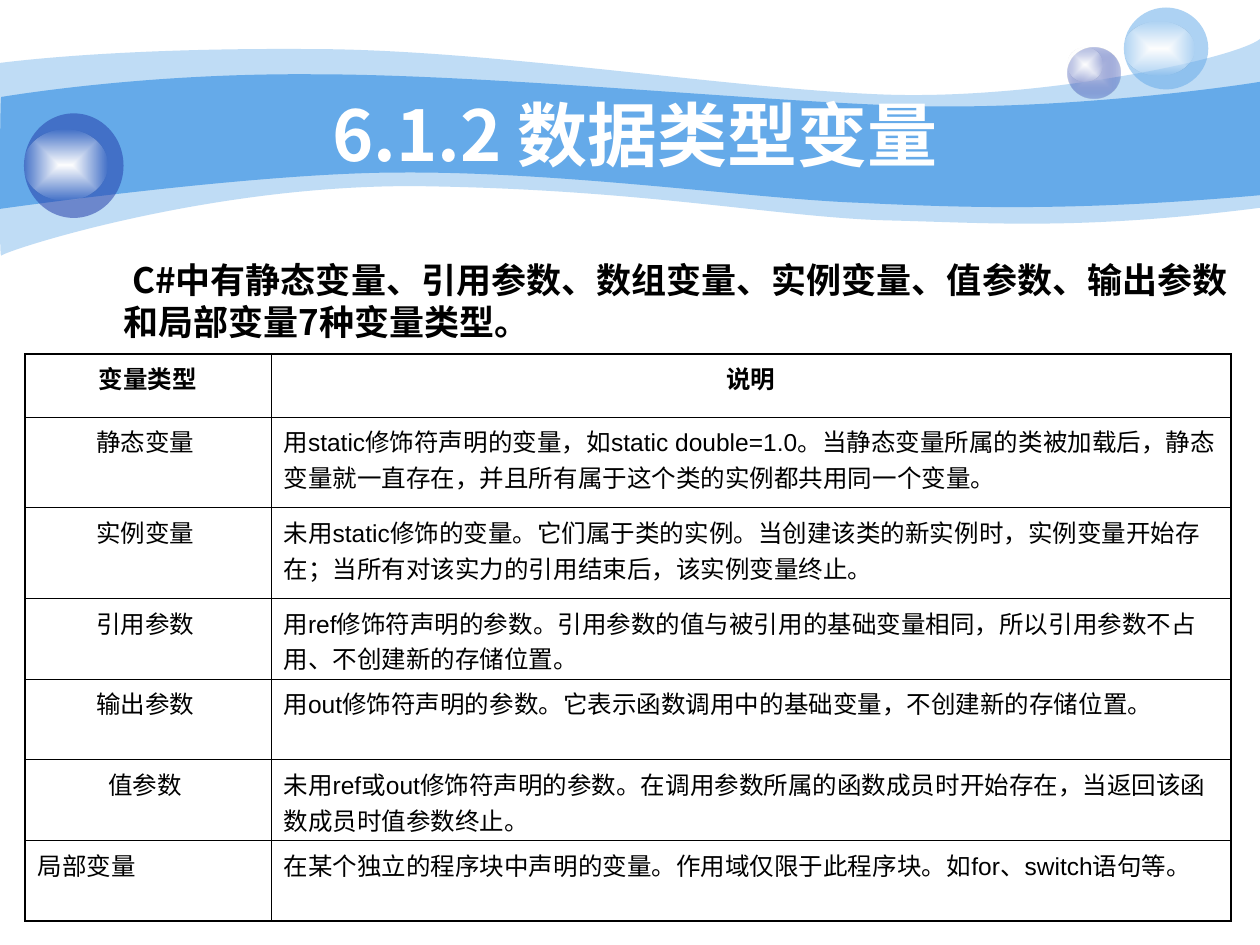
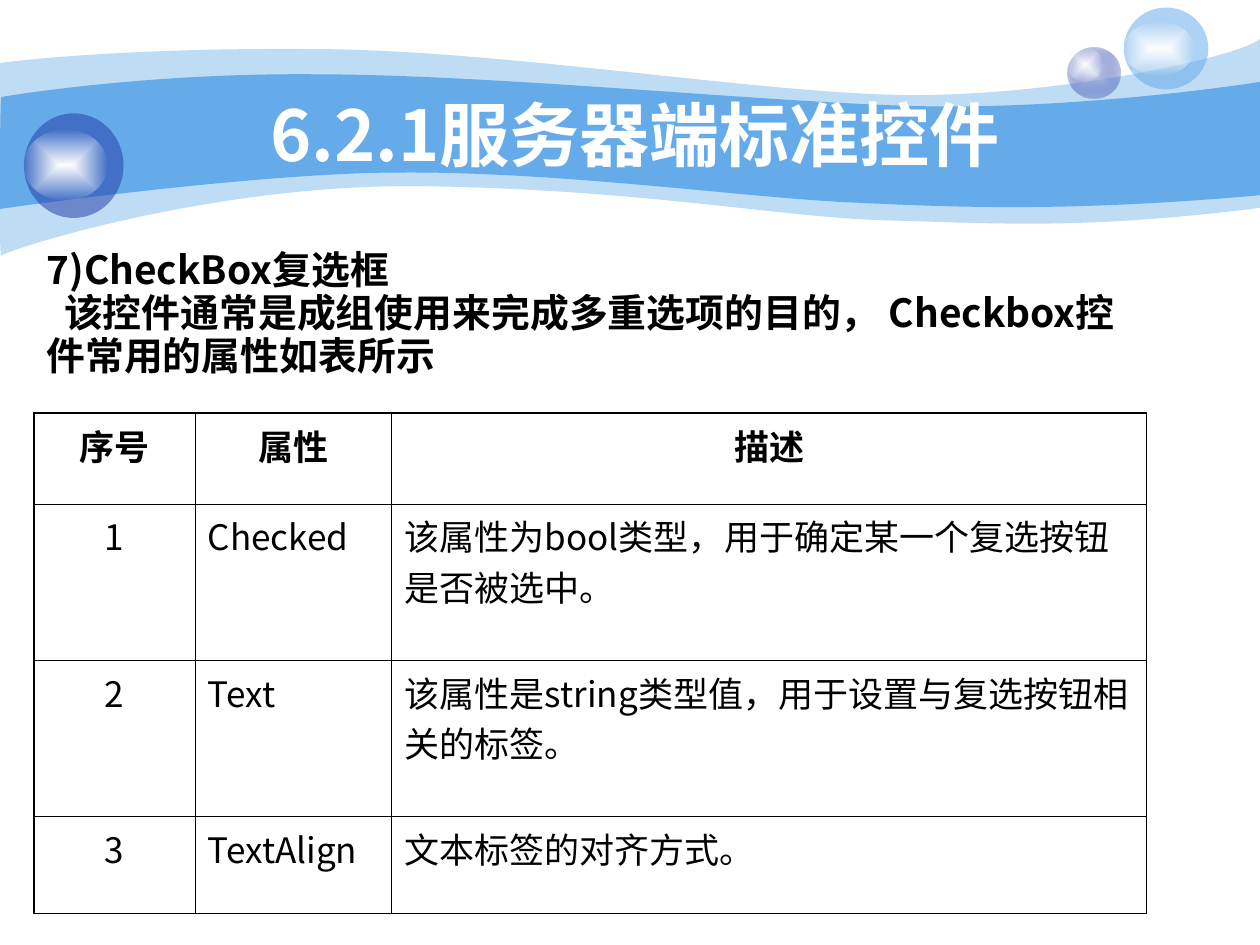
from pptx import Presentation
from pptx.dml.color import RGBColor
from pptx.enum.shapes import MSO_SHAPE
from pptx.enum.text import MSO_ANCHOR, PP_ALIGN
from pptx.oxml import parse_xml
from pptx.oxml.ns import nsdecls, qn
from pptx.oxml.xmlchemy import OxmlElement
from pptx.util import Inches, Pt

SKY = RGBColor(0x65, 0xAA, 0xE9)
NAVY = RGBColor(0x23, 0x3D, 0xA9)
LAVENDER = RGBColor(0xC6, 0xCC, 0xE8)
WHITE = RGBColor(0xFF, 0xFF, 0xFF)
NEAR_WHITE = RGBColor(0xFE, 0xFE, 0xFE)
BLACK = RGBColor(0x00, 0x00, 0x00)

CJK_FONT = "Noto Sans CJK SC"
LATIN_FONT = "Arial"
OUTER_LINE, INNER_LINE = 1.08, 0.45

TITLE_BOX = (1, 0.75, 8.08, 0.62)
TITLE_FONT = {"size": Pt(40), "bold": True, "name": CJK_FONT}

PALE_TOP = [
    (0, 0.5), (0.24, 0.47), (1.07, 0.38), (2.47, 0.39), (3.86, 0.39),
    (5.75, 0.7), (6.99, 0.75), (8.22, 0.8), (9.8, 0.47), (10, 0.31),
]
PALE_BOTTOM = [
    (10, 1.65), (8.58, 1.83), (7.87, 1.77), (7.05, 1.75), (6.22, 1.73),
    (5.15, 1.51), (3.43, 1.48), (1.72, 1.44), (0.04, 1.99), (0.01, 2.03),
    (-0.01, 2.08), (0, 0.75), (0, 0.5),
]
DEEP_TOP = [
    (0.01, 0.77), (0.02, 0.77), (1.1, 0.58), (2.48, 0.59), (3.86, 0.59),
    (5.95, 0.8), (7.18, 0.84), (8.41, 0.88), (9.76, 0.69), (10, 0.65),
]
DEEP_BOTTOM = [
    (10, 1.55), (8.53, 1.68), (7.65, 1.65), (6.82, 1.61), (5.99, 1.58),
    (4.47, 1.36), (3.17, 1.37), (2.03, 1.37), (-0.02, 1.66), (-0.01, 1.66),
    (0, 1.66), (0, 0.77), (0.01, 0.77),
]


def color_xml(color, alpha):
    return f'<a:srgbClr val="{color}"><a:alpha val="{alpha * 1000}"/></a:srgbClr>'


def solid_xml(color, alpha=100):
    return f'<a:solidFill {nsdecls("a")}>{color_xml(color, alpha)}</a:solidFill>'


def glow_xml(center, edge, edge_alpha):
    return (
        f'<a:gradFill {nsdecls("a")}><a:gsLst>'
        f'<a:gs pos="0">{color_xml(center, 100)}</a:gs>'
        f'<a:gs pos="100000">{color_xml(edge, edge_alpha)}</a:gs></a:gsLst>'
        '<a:path path="rect"><a:fillToRect l="50000" t="50000" r="50000" b="50000"/></a:path>'
        "</a:gradFill>"
    )


HIGHLIGHT = glow_xml(WHITE, NEAR_WHITE, 0)
BUBBLES = [
    ((8.47, 0.38, 0.42, 0.4), glow_xml(LAVENDER, NAVY, 31), (0, 0, 0.28, 0.27)),
    ((8.92, 0.06, 0.67, 0.65), solid_xml(SKY, 53), (0, 0.11, 0.56, 0.43)),
    ((0.19, 0.9, 0.79, 0.83), solid_xml(NAVY, 53), (0, 0.13, 0.66, 0.56)),
]


def paint(shape, fill_xml):
    shape.shadow.inherit = False
    shape.line.fill.background()
    shape.fill.background()
    properties = shape._element.spPr
    properties.replace(properties.find(qn("a:noFill")), parse_xml(fill_xml))


def bend(segments):
    for first in range(0, len(segments), 3):
        curve = OxmlElement("a:cubicBezTo")
        segments[first].addprevious(curve)
        for segment in segments[first:first + 3]:
            curve.append(segment[0])
            segment.getparent().remove(segment)


def add_wave(slide, top_edge, bottom_edge, fill_xml):
    points = [(Inches(x), Inches(y)) for x, y in top_edge + bottom_edge]
    builder = slide.shapes.build_freeform(*points[0])
    builder.add_line_segments(points[1:], close=True)
    wave = builder.convert_to_shape()
    segments = list(wave._element.iter(qn("a:lnTo")))
    corner = len(top_edge) - 1
    bend(segments[:corner])
    bend(segments[corner + 1:])
    paint(wave, fill_xml)


def add_bubble(slide, box, fill_xml, shine):
    left, top, width, height = box
    shine_left, shine_top, shine_width, shine_height = shine
    shine_box = (left + shine_left, top + shine_top, shine_width, shine_height)
    group = slide.shapes.add_group_shape()
    for oval_box, oval_fill in ((box, fill_xml), (shine_box, HIGHLIGHT)):
        oval = group.shapes.add_shape(MSO_SHAPE.OVAL, *map(Inches, oval_box))
        paint(oval, oval_fill)


def write(paragraph, text, color, alignment, font_format):
    paragraph.alignment = alignment
    run = paragraph.add_run()
    run.text = text
    run.font.color.rgb = color
    for attribute, value in font_format.items():
        setattr(run.font, attribute, value)
    east_asian = OxmlElement("a:ea")
    east_asian.set("typeface", CJK_FONT)
    run.font._element.append(east_asian)


def add_text_box(slide, box):
    frame = slide.shapes.add_textbox(*map(Inches, box)).text_frame
    frame.word_wrap = True
    return frame


def add_header(slide, title):
    add_wave(slide, PALE_TOP, PALE_BOTTOM, solid_xml(SKY, 41))
    add_wave(slide, DEEP_TOP, DEEP_BOTTOM, solid_xml(SKY))
    for bubble in BUBBLES:
        add_bubble(slide, *bubble)
    frame = add_text_box(slide, TITLE_BOX)
    frame.vertical_anchor = MSO_ANCHOR.MIDDLE
    write(frame.paragraphs[0], title, WHITE, PP_ALIGN.CENTER, TITLE_FONT)


def add_body(slide, box, lines, size, line_spacing, space_before=0):
    frame = add_text_box(slide, box)
    for index, (text, margin, indent) in enumerate(lines):
        paragraph = frame.add_paragraph() if index else frame.paragraphs[0]
        paragraph.line_spacing = line_spacing
        paragraph.space_before = Pt(space_before if index else 0)
        properties = paragraph._p.get_or_add_pPr()
        properties.set("marL", str(Inches(margin)))
        properties.set("indent", str(Inches(indent)))
        font_format = {"size": Pt(size), "bold": True, "name": CJK_FONT}
        write(paragraph, text, BLACK, PP_ALIGN.LEFT, font_format)


def set_borders(cell, widths):
    properties = cell._tc.get_or_add_tcPr()
    for position, (side, width) in enumerate(widths.items()):
        line = parse_xml(
            f'<a:{side} {nsdecls("a")} w="{Pt(width)}">{solid_xml(BLACK)}</a:{side}>'
        )
        properties.insert(position, line)


def add_grid(slide, left, top, column_widths, row_heights, rows, size, font, left_cells=()):
    box = (left, top, sum(column_widths), sum(row_heights))
    frame = slide.shapes.add_table(len(rows), len(column_widths), *map(Inches, box))
    table = frame.table
    table.first_row = table.horz_banding = False
    for column, width in zip(table.columns, column_widths):
        column.width = Inches(width)
    last_row, last_column = len(rows) - 1, len(column_widths) - 1
    for row_index, texts in enumerate(rows):
        table.rows[row_index].height = Inches(row_heights[row_index])
        for column_index, text in enumerate(texts):
            cell = table.cell(row_index, column_index)
            cell.fill.background()
            edges = {
                "lnL": column_index == 0,
                "lnR": column_index == last_column,
                "lnT": row_index == 0,
                "lnB": row_index == last_row,
            }
            set_borders(cell, {
                side: OUTER_LINE if outer else INNER_LINE for side, outer in edges.items()
            })
            centered = row_index == 0 or column_index == 0
            if (row_index, column_index) in left_cells:
                centered = False
            alignment = PP_ALIGN.CENTER if centered else PP_ALIGN.LEFT
            font_format = {"size": Pt(size), "bold": row_index == 0, "name": font}
            write(cell.text_frame.paragraphs[0], text, BLACK, alignment, font_format)


def add_variable_slide(slide):
    add_header(slide, "6.1.2 数据类型变量")
    sentence = (
        "C#中有静态变量、引用参数、数组变量、实例变量、值参数、输出参数"
        "和局部变量7种变量类型。"
    )
    add_body(slide, (0.5, 2, 9.5, 0.81), [(sentence, 0.38, 0.07)], 20, 1.0)
    rows = [
        ("变量类型", "说明"),
        ("静态变量 ", "用static修饰符声明的变量，如static double=1.0。当静态变量所属的类被加载后，"
                  "静态变量就一直存在，并且所有属于这个类的实例都共用同一个变量。"),
        ("实例变量 ", "未用static修饰的变量。它们属于类的实例。当创建该类的新实例时，"
                  "实例变量开始存在；当所有对该实力的引用结束后，该实例变量终止。"),
        ("引用参数 ", "用ref修饰符声明的参数。引用参数的值与被引用的基础变量相同，"
                  "所以引用参数不占用、不创建新的存储位置。"),
        ("输出参数 ", "用out修饰符声明的参数。它表示函数调用中的基础变量，不创建新的存储位置。"),
        ("值参数 ", "未用ref或out修饰符声明的参数。在调用参数所属的函数成员时开始存在，"
                 "当返回该函数成员时值参数终止。"),
        ("局部变量", "在某个独立的程序块中声明的变量。作用域仅限于此程序块。如for、switch语句等。"),
    ]
    heights = [0.5] + [0.72] * 2 + [0.64] * 4
    add_grid(slide, 0.2, 2.81, [1.95, 7.62], heights, rows, 14, LATIN_FONT, {(6, 0)})


def add_checkbox_slide(slide):
    add_header(slide, "6.2.1服务器端标准控件")
    lines = [
        ("7)CheckBox复选框", 0, 0),
        ("该控件通常是成组使用来完成多重选项的目的， Checkbox控", 0, 0.14),
        ("件常用的属性如表所示", 0, 0),
    ]
    add_body(slide, (0.27, 2, 9.45, 1.2), lines, 22.2, 0.7, 6)
    rows = [
        ("序号", "属性", "描述"),
        ("1", "Checked", "该属性为bool类型，用于确定某一个复选按钮是否被选中。"),
        ("2", "Text", "该属性是string类型值，用于设置与复选按钮相关的标签。"),
        ("3", "TextAlign", "文本标签的对齐方式。"),
    ]
    heights = [0.72, 1.24, 1.24, 0.77]
    add_grid(slide, 0.27, 3.28, [1.28, 1.56, 5.99], heights, rows, 20, CJK_FONT)


def main():
    presentation = Presentation()
    presentation.slide_width = Inches(10)
    presentation.slide_height = Inches(7.5)
    for add_content in (add_variable_slide, add_checkbox_slide):
        add_content(presentation.slides.add_slide(presentation.slide_layouts[6]))
    presentation.save("out.pptx")


if __name__ == "__main__":
    main()
